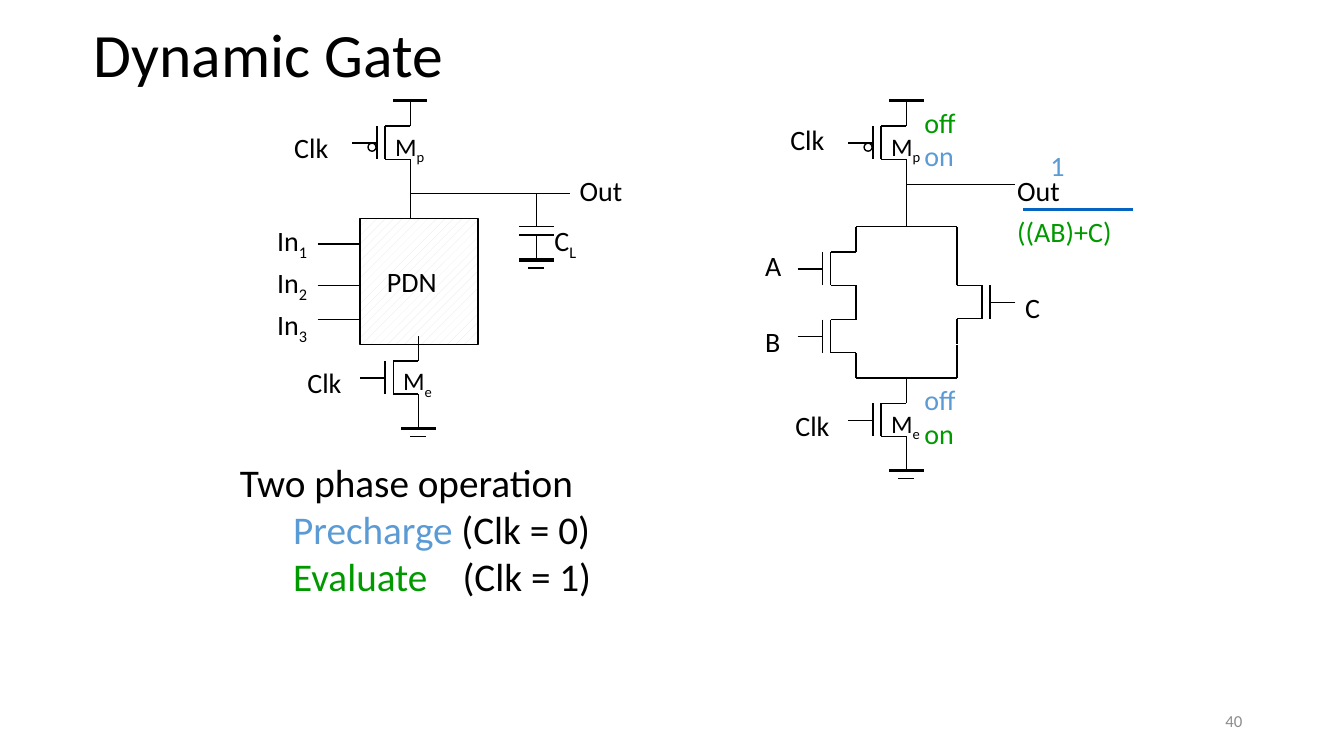
from lxml.etree import SubElement
from pptx import Presentation
from pptx.dml.color import RGBColor
from pptx.enum.dml import MSO_PATTERN
from pptx.enum.shapes import MSO_CONNECTOR, MSO_SHAPE
from pptx.enum.text import MSO_ANCHOR, MSO_AUTO_SIZE, PP_ALIGN
from pptx.oxml.ns import qn
from pptx.util import Inches, Pt

COLORS = {"ink": "000000", "precharge": "5B9BD5", "evaluate": "009900",
          "overbar": "0563C1", "number": "8C8C8C", "hatch": "E7E6E6", "paper": "FFFFFF"}
FONT = "Calibri"
THIN, THICK = 1, 2.25


def rgb(name):
    """Return the named colour."""
    return RGBColor.from_string(COLORS[name])


class CircuitSlide:
    """Draws circuit elements and text on one slide."""

    def __init__(self, slide):
        """Keep the slide to draw on."""
        self.slide = slide

    def style(self, font, size, color="ink"):
        """Apply typeface, size and colour to a font."""
        font.name, font.size = FONT, Pt(size)
        font.color.rgb = rgb(color)

    def title(self, text):
        """Fill and place the title placeholder."""
        shape = self.slide.shapes.title
        shape.left, shape.top = Inches(0.83), Inches(0.15)
        shape.width, shape.height = Inches(11.5), Inches(0.85)
        frame = shape.text_frame
        frame.text = text
        frame.auto_size = MSO_AUTO_SIZE.NONE
        frame.vertical_anchor = MSO_ANCHOR.MIDDLE
        paragraph = frame.paragraphs[0]
        paragraph.alignment = PP_ALIGN.LEFT
        paragraph.line_spacing = 0.9
        self.style(paragraph.font, 44)

    def box(self, left, top, width, height, wrap=False):
        """Add a text box and return its frame."""
        shape = self.slide.shapes.add_textbox(
            Inches(left), Inches(top), Inches(width), Inches(height))
        frame = shape.text_frame
        frame.word_wrap = wrap
        frame.auto_size = MSO_AUTO_SIZE.SHAPE_TO_FIT_TEXT
        return frame

    def label(self, left, top, width, text, subscript="", size=20, color="ink"):
        """Add a one-line label with an optional subscript."""
        frame = self.box(left, top, width, 0.44 if size == 20 else 0.4)
        paragraph = frame.paragraphs[0]
        paragraph.add_run().text = text
        if subscript:
            run = paragraph.add_run()
            run.text = subscript
            run._r.get_or_add_rPr().set("baseline", "-25000")
        self.style(paragraph.font, size, color)

    def phases(self, heading, phases):
        """Add the heading and its tabbed list of coloured phases."""
        frame = self.box(2.28, 4.5, 4.44, 1.51, wrap=True)
        frame.text = heading
        self.style(frame.paragraphs[0].font, 28)
        for name, gap, condition, color in phases:
            paragraph = frame.add_paragraph()
            tabs = SubElement(paragraph._p.get_or_add_pPr(), qn("a:tabLst"))
            for position in (0.53, 2.21):
                SubElement(tabs, qn("a:tab"), pos=str(Inches(position)), algn="l")
            self.style(paragraph.font, 28)
            run = paragraph.add_run()
            run.text = "\t" + name
            run.font.color.rgb = rgb(color)
            paragraph.add_run().text = gap + condition

    def number(self, text):
        """Add the slide number."""
        frame = self.box(9.42, 6.95, 3, 0.4, wrap=True)
        frame.auto_size = MSO_AUTO_SIZE.NONE
        frame.vertical_anchor = MSO_ANCHOR.MIDDLE
        frame.text = text
        frame.paragraphs[0].alignment = PP_ALIGN.RIGHT
        self.style(frame.paragraphs[0].font, 12, "number")

    def wire(self, x1, y1, x2, y2, weight=THIN, color="ink"):
        """Add a straight line."""
        line = self.slide.shapes.add_connector(
            MSO_CONNECTOR.STRAIGHT, Inches(x1), Inches(y1), Inches(x2), Inches(y2))
        line.line.width = Pt(weight)
        line.line.color.rgb = rgb(color)
        SubElement(line._element.spPr, qn("a:effectLst"))

    def outline(self, kind, left, top, width, height):
        """Add an unfilled outlined shape."""
        shape = self.slide.shapes.add_shape(
            kind, Inches(left), Inches(top), Inches(width), Inches(height))
        shape.shadow.inherit = False
        shape.fill.background()
        shape.line.width = Pt(THIN)
        shape.line.color.rgb = rgb("ink")
        return shape

    def network(self, left, top, width, height):
        """Add the hatched pull-down block."""
        fill = self.outline(MSO_SHAPE.RECTANGLE, left, top, width, height).fill
        fill.patterned()
        fill.pattern = MSO_PATTERN.PERCENT_20
        fill.fore_color.rgb, fill.back_color.rgb = rgb("hatch"), rgb("paper")

    def transistor(self, x, y, side=-1):
        """Add a transistor whose gate lies on the given side of its leads."""
        channel, gate, end = (x + side * reach for reach in (0.25, 0.33, 0.58))
        bottom = y + 0.33
        self.wire(channel, y, x, y)
        self.wire(channel, y, channel, bottom)
        self.wire(channel, bottom, x, bottom)
        self.wire(gate, y, gate, bottom)
        self.wire(x, bottom, x, bottom + 0.25)
        self.wire(end, y + 0.17, gate, y + 0.17)
        self.wire(x, y, x, y - 0.25)

    def precharge_transistor(self, x):
        """Add the transistor with inverted gate, supply bar and name."""
        self.transistor(x, 1.25)
        self.outline(MSO_SHAPE.OVAL, x - 0.42, 1.42, 0.08, 0.08)
        self.wire(x - 0.17, 1, x + 0.17, 1, THICK)
        self.label(x - 0.25, 1.25, 0.5, "M", "p", size=18)

    def evaluate_transistor(self, x, y):
        """Add the grounded transistor with its name and clock."""
        self.transistor(x, y)
        self.ground(x, y + 0.67)
        self.label(x - 0.25, y, 0.5, "M", "e", size=18)
        self.label(x - 1.2, y, 0.54, "Clk")

    def ground(self, x, y):
        """Add a ground symbol with its lead."""
        self.wire(x, y - 0.25, x, y)
        self.wire(x - 0.17, y, x + 0.17, y, THICK)
        self.wire(x - 0.08, y + 0.08, x + 0.08, y + 0.08)

    def capacitor(self, x):
        """Add the load capacitor hanging from the output wire."""
        self.wire(x, 1.92, x, 2.25)
        for y in (2.25, 2.33):
            self.wire(x - 0.17, y, x + 0.17, y)
        self.ground(x, 2.58)
        self.label(x + 0.08, 2.17, 0.43, "C", "L")

    def generic_gate(self):
        """Draw the gate with a pull-down block."""
        self.network(3.57, 2.17, 1.17, 1.25)
        self.label(3.74, 2.58, 0.7, "PDN")
        self.precharge_transistor(4.07)
        self.label(2.82, 1.25, 0.54, "Clk")
        self.evaluate_transistor(4.15, 3.58)
        self.wire(4.07, 1.75, 4.07, 2.17)
        self.wire(4.07, 1.92, 5.65, 1.92)
        self.label(5.65, 1.67, 0.65, "Out")
        self.capacitor(5.32)
        for index, y in enumerate((2.42, 2.83, 3.17)):
            self.wire(3.15, y, 3.57, y)
            self.label(2.65, 2.17 + index * 0.415, 0.53, "In", str(index + 1))

    def example_gate(self):
        """Draw the gate for one logic function."""
        self.precharge_transistor(8.99)
        self.label(7.74, 1.17, 0.54, "Clk")
        self.evaluate_transistor(8.99, 4)
        for x, y, side in ((8.49, 2.5, -1), (8.49, 3.17, -1), (9.49, 2.83, 1)):
            self.transistor(x, y, side)
        for y in (2.25, 3.75):
            self.wire(8.49, y, 9.49, y)
        self.wire(9.49, 3.42, 9.49, 3.75)
        self.wire(9.49, 2.25, 9.49, 2.58)
        self.wire(8.99, 1.75, 8.99, 2.25)
        self.wire(8.99, 1.83, 10.07, 1.83)
        for left, top, width, text in ((9.99, 1.67, 0.65, "Out"), (7.49, 2.42, 0.36, "A"),
                                       (7.49, 3.17, 0.35, "B"), (10.07, 2.83, 0.35, "C")):
            self.label(left, top, width, text)
        for left, top, width, text, color in (
                (9.07, 1.33, 0.51, "on", "precharge"), (9.07, 3.75, 0.52, "off", "precharge"),
                (10.32, 1.42, 0.36, "1", "precharge"), (9.07, 1, 0.52, "off", "evaluate"),
                (9.07, 4.08, 0.51, "on", "evaluate"), (9.99, 2.08, 1.15, "((AB)+C)", "evaluate")):
            self.label(left, top, width, text, color=color)
        self.wire(10.15, 2.08, 11.24, 2.08, THICK, "overbar")


def main():
    """Build and save the slide."""
    presentation = Presentation()
    presentation.slide_width, presentation.slide_height = Inches(13.33), Inches(7.5)
    circuit = CircuitSlide(presentation.slides.add_slide(presentation.slide_layouts[5]))
    circuit.title("Dynamic Gate")
    circuit.generic_gate()
    circuit.example_gate()
    circuit.phases("Two phase operation", (("Precharge", " ", "(Clk = 0)", "precharge"),
                                           ("Evaluate", "\t", "(Clk = 1)", "evaluate")))
    circuit.number("40")
    presentation.save("out.pptx")


if __name__ == "__main__":
    main()
